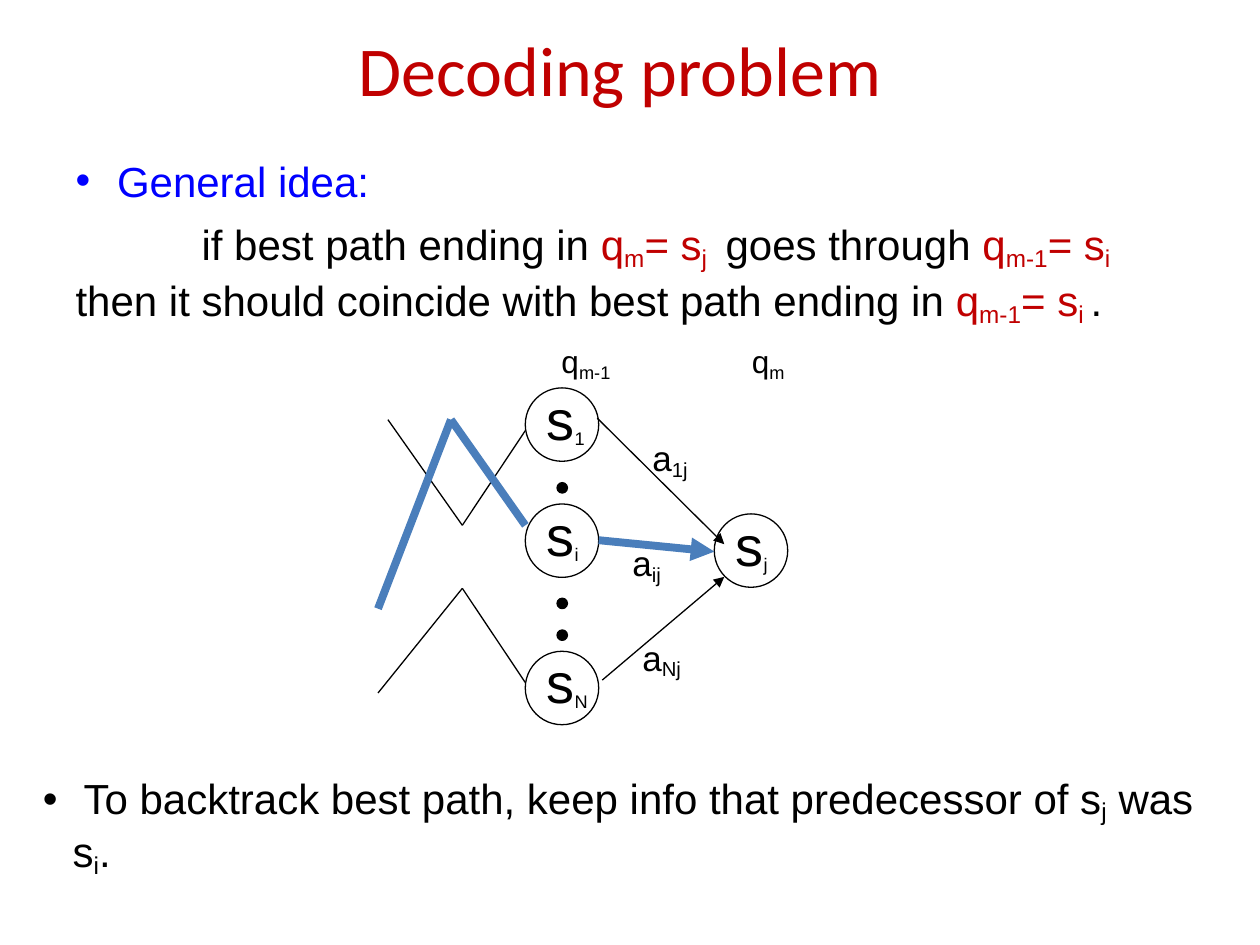
import pptx
import pptx.util
import pptx.dml.color
import pptx.enum.text
import pptx.enum.shapes
import pptx.oxml.ns
import lxml.etree

Cm = pptx.util.Cm
Pt = pptx.util.Pt
INK = {"black": "000000", "red": "C00000", "blue": "0000FF",
       "steel": "4A7EBB"}
DISC = 1.48
DOT = 0.21


def tint(name):
    return pptx.dml.color.RGBColor.from_string(INK[name])


def add_xml(parent, tag, **attrs):
    return lxml.etree.SubElement(parent, pptx.oxml.ns.qn(tag), attrs)


def style(para, size, color="black", face="Arial"):
    para.font.size = Pt(size)
    para.font.name = face
    para.font.color.rgb = tint(color)
    para.space_before = Pt(0)


def spell(para, *parts, color=None, small=None):
    for i, part in enumerate(parts):
        run = para.add_run()
        run.text = part
        if color:
            run.font.color.rgb = tint(color)
        if i % 2:
            run._r.get_or_add_rPr().set("baseline", "-16000")
            if small:
                run.font.size = Pt(small)


def indent(para, left, first):
    props = para._p.get_or_add_pPr()
    props.set("marL", str(Cm(left)))
    props.set("indent", str(Cm(first)))


def place(shape, box):
    shape.left, shape.top, shape.width, shape.height = map(Cm, box)
    frame = shape.text_frame
    frame.word_wrap = True
    frame.auto_size = pptx.enum.text.MSO_AUTO_SIZE.NONE
    return frame


def title(shape, box):
    frame = place(shape, box)
    frame.vertical_anchor = pptx.enum.text.MSO_ANCHOR.MIDDLE
    para = frame.paragraphs[0]
    para.text = "Decoding problem"
    para.alignment = pptx.enum.text.PP_ALIGN.CENTER
    style(para, 40, "red", "Calibri")


def idea(shape, box):
    frame = place(shape, box)
    head = frame.paragraphs[0]
    head.text = " General idea:"
    style(head, 24, "blue")
    indent(head, 0.6, -0.6)
    rule = frame.add_paragraph()
    style(rule, 24)
    indent(rule, 0, 2.54)
    add_xml(rule._p.get_or_add_pPr(), "a:buNone")
    prior = ("q", "m-1", "= s", "i ")
    spell(rule, "if best path ending in ")
    spell(rule, "q", "m", "= s", "j ", color="red")
    spell(rule, " goes through ")
    spell(rule, *prior, color="red")
    spell(rule, "then it should coincide with best path ending in ")
    spell(rule, *prior, color="red")
    spell(rule, ".")
    head.space_after = rule.space_after = Pt(6)
    rule.line_spacing = 1.05


def note(shape, box):
    para = place(shape, box).paragraphs[0]
    style(para, 24)
    indent(para, 0.6, -0.6)
    spell(para, " To backtrack best path, keep info that predecessor of s",
          "j", " was s", "i", ".")


def label(slide, x, y, w, h, parts, size, small=None):
    frame = slide.shapes.add_textbox(Cm(x), Cm(y), Cm(w), Cm(h)).text_frame
    frame.word_wrap = False
    para = frame.paragraphs[0]
    style(para, size)
    spell(para, *parts, small=small)


def disc(slide, x, y, size, fill=None):
    oval = slide.shapes.add_shape(pptx.enum.shapes.MSO_SHAPE.OVAL,
                                  Cm(x), Cm(y), Cm(size), Cm(size))
    oval.shadow.inherit = False
    oval.line.color.rgb = tint("black")
    oval.line.width = Pt(0.75)
    if fill:
        oval.fill.solid()
        oval.fill.fore_color.rgb = tint(fill)
    else:
        oval.fill.background()


def trail(slide, x, y, points, color="black", width=0.75, arrow=False):
    for (ax, ay), (bx, by) in zip(points, points[1:]):
        line = slide.shapes.add_connector(
            pptx.enum.shapes.MSO_CONNECTOR.STRAIGHT,
            Cm(x + ax), Cm(y + ay), Cm(x + bx), Cm(y + by))
        line.line.color.rgb = tint(color)
        line.line.width = Pt(width)
        if arrow:
            add_xml(line.line._get_or_add_ln(), "a:tailEnd", type="triangle")
        add_xml(line._element.spPr, "a:effectLst")


def graph(slide, x, y):
    for name, dx, dy in (("1", 2.97, 1.04), ("i", 2.97, 3.38),
                         ("N", 2.97, 6.35), ("j", 6.78, 3.58)):
        disc(slide, x + dx, y + dy, DISC)
        label(slide, x + dx + 0.18, y + dy - 0.2, 1.7, 1.63,
              ("s", name), 32, 18)
    for dy in (2.95, 5.28, 5.92):
        disc(slide, x + 3.61, y + dy, DOT, "black")
    for name, dx, dy in (("1j", 5.28, 1.9), ("ij", 4.88, 4.01),
                         ("Nj", 5.08, 5.92)):
        label(slide, x + dx, y + dy, 1.7, 1.17, ("a", name), 20)
    for name, dx in (("m-1", 3.45), ("m", 7.29)):
        label(slide, x + dx, y, 1.7, 1.07, ("q", name), 18)
    for points in (((2.97, 1.9), (1.7, 3.81), (0.2, 1.68)),
                   ((2.97, 6.98), (1.7, 5.08), (0, 7.19))):
        trail(slide, x, y, points)
    for points in (((4.42, 1.65), (6.98, 4.19)),
                   ((4.52, 6.93), (6.98, 4.85))):
        trail(slide, x, y, points, arrow=True)
    trail(slide, x, y, ((4.45, 4.11), (6.78, 4.34)), "steel", 4.5, True)
    trail(slide, x, y, ((0, 5.49), (1.47, 1.68), (2.97, 3.81)), "steel", 4.5)


def main():
    deck = pptx.Presentation()
    deck.slide_width, deck.slide_height = Cm(25.4), Cm(19.05)
    slide = deck.slides.add_slide(deck.slide_layouts[3])
    head, body, foot = list(slide.placeholders)[:3]
    title(head, (1.7, 0.64, 21.59, 1.47))
    idea(body, (1.27, 3, 22.9, 3.81))
    note(foot, (0.61, 15.44, 24.49, 2.6))
    graph(slide, 7.62, 6.78)
    deck.save("out.pptx")


if __name__ == "__main__":
    main()
